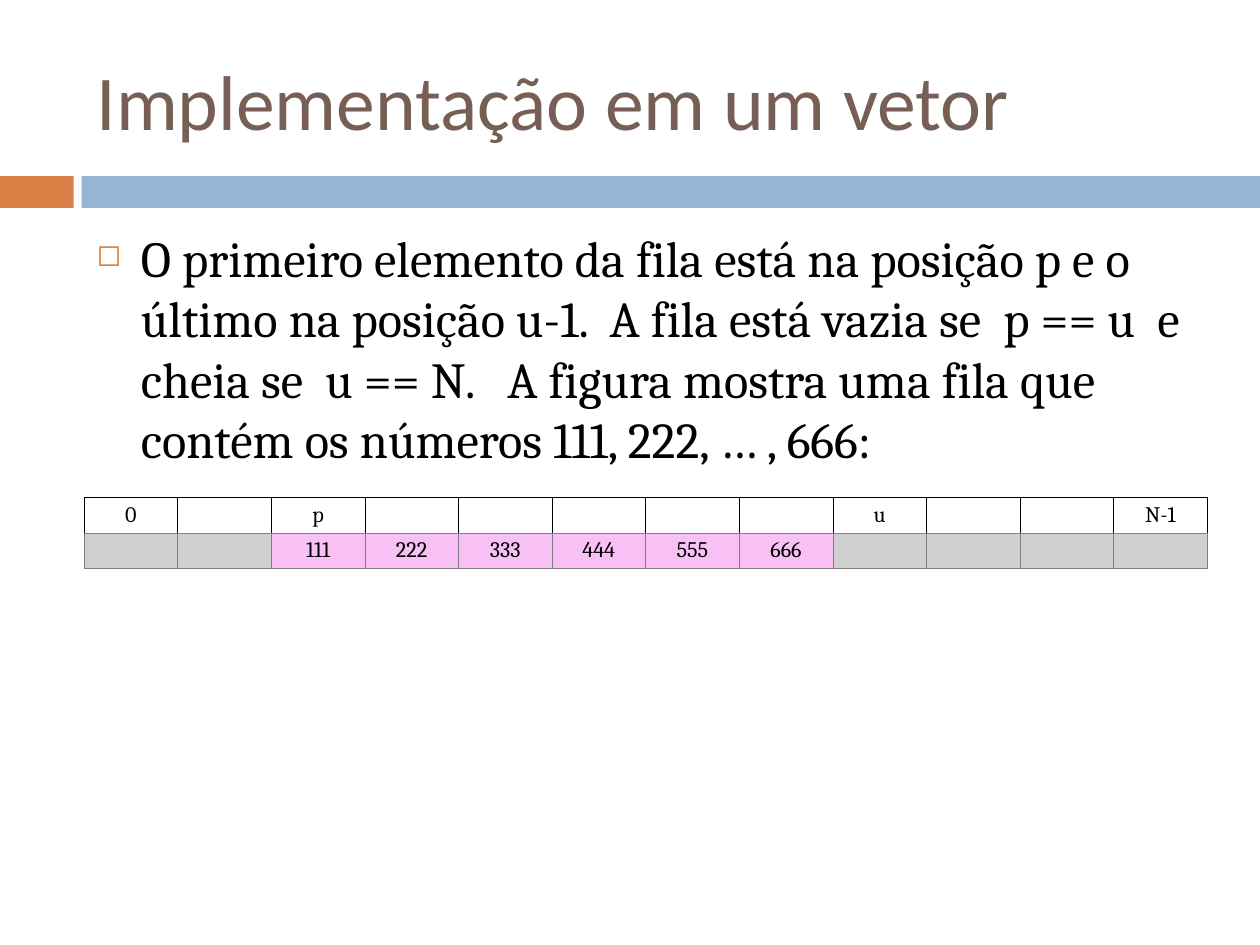
import pptx
import pptx.util
import pptx.dml.color
import pptx.enum.shapes
import pptx.enum.text
import pptx.oxml
import pptx.oxml.ns
from pptx.util import Cm

# Content
TITLE = "Implementação em um vetor"
BODY = ("O primeiro elemento da fila está na posição p e o último na posição u-1.  "
        "A fila está vazia se  p == u  e cheia se  u == N.   "
        "A figura mostra uma fila que contém os números 111, 222, … , 666:")
SIZE = 12
MARKS = {0: "0", 2: "p", 8: "u", 11: "N-1"}
QUEUE = {2: "111", 3: "222", 4: "333", 5: "444", 6: "555", 7: "666"}


class Theme:
    head, text = "775F55", "000000"
    accent, band = "DD8047", "94B6D2"
    plain, free, used = "FFFFFF", "D0D0D0", "F8C0F4"
    dark, soft = ("000000", 0.45), ("808080", 0.34)
    sans, serif = "Calibri", "Cambria"
    big, mid, small = 63, 41, 18


# Layout
WIDE, HIGH = Cm(36.12), Cm(27.08)
LEFT, SPAN = Cm(2.41), Cm(32.2)
ROW = Cm(1.02)


def rgb(code):
    return pptx.dml.color.RGBColor.from_string(code)


def style(par, face, size, color):
    par.font.name = face
    par.font.size = pptx.util.Pt(size)
    par.font.color.rgb = rgb(color)


def add_bar(slide, left, width, color):
    bar = slide.shapes.add_shape(pptx.enum.shapes.MSO_SHAPE.RECTANGLE,
                                 left, Cm(5.05), width, Cm(0.91))
    bar.shadow.inherit = False
    bar.fill.solid()
    bar.fill.fore_color.rgb = rgb(color)
    bar.line.fill.background()


def add_text(slide, top, height, text, anchor):
    frame = slide.shapes.add_textbox(LEFT, top, SPAN, height).text_frame
    frame.word_wrap = True
    frame.vertical_anchor = anchor
    frame.margin_left = frame.margin_right = Cm(0.36)
    frame.margin_top = frame.margin_bottom = Cm(0.18)
    par = frame.paragraphs[0]
    par.text = text
    return par


def add_bullet(par, sign, color, indent):
    props = par._p.get_or_add_pPr()
    props.set("marL", str(indent))
    props.set("indent", str(-indent))
    space = pptx.oxml.ns.nsdecls("a")
    for xml in (f'<a:buClr {space}><a:srgbClr val="{color}"/></a:buClr>',
                f'<a:buSzPct {space} val="60000"/>',
                f'<a:buChar {space} char="{sign}"/>'):
        props.append(pptx.oxml.parse_xml(xml))


def add_edges(cell, edges):
    props = cell._tc.get_or_add_tcPr()
    space = pptx.oxml.ns.nsdecls("a")
    for side, (color, width) in zip("LRTB", edges):
        props.append(pptx.oxml.parse_xml(
            f'<a:ln{side} {space} w="{pptx.util.Pt(width)}"><a:solidFill>'
            f'<a:srgbClr val="{color}"/></a:solidFill></a:ln{side}>'))


def fill_cell(cell, text, color, edges):
    add_edges(cell, edges)
    cell.fill.solid()
    cell.fill.fore_color.rgb = rgb(color)
    cell.vertical_anchor = pptx.enum.text.MSO_ANCHOR.MIDDLE
    par = cell.text_frame.paragraphs[0]
    par.text = text
    par.alignment = pptx.enum.text.PP_ALIGN.CENTER
    style(par, Theme.serif, Theme.small, Theme.text)


def add_array(slide):
    table = slide.shapes.add_table(2, SIZE, LEFT, Cm(14.25), SPAN, 2 * ROW).table
    table.first_row = table.horz_banding = False
    for row in table.rows:
        row.height = ROW
    top = [Theme.dark] * 3 + [Theme.soft]
    low = [Theme.soft] * 4
    for spot in range(SIZE):
        table.columns[spot].width = SPAN // SIZE
        fill_cell(table.cell(0, spot), MARKS.get(spot, ""), Theme.plain, top)
        shade = Theme.used if spot in QUEUE else Theme.free
        fill_cell(table.cell(1, spot), QUEUE.get(spot, ""), shade, low)


def main():
    deck = pptx.Presentation()
    deck.slide_width, deck.slide_height = WIDE, HIGH
    slide = deck.slides.add_slide(deck.slide_layouts[6])
    anchor = pptx.enum.text.MSO_ANCHOR

    # Divider band
    add_bar(slide, 0, Cm(2.11), Theme.accent)
    add_bar(slide, Cm(2.34), WIDE - Cm(2.34), Theme.band)

    # Title and body
    head = add_text(slide, Cm(0.91), Cm(3.91), TITLE, anchor.MIDDLE)
    style(head, Theme.sans, Theme.big, Theme.head)
    body = add_text(slide, Cm(6.32), Cm(17.75), BODY, anchor.TOP)
    add_bullet(body, "◻", Theme.accent, Cm(1.27))
    style(body, Theme.serif, Theme.mid, Theme.text)

    # Queue in the array
    add_array(slide)
    deck.save("out.pptx")


if __name__ == "__main__":
    main()
